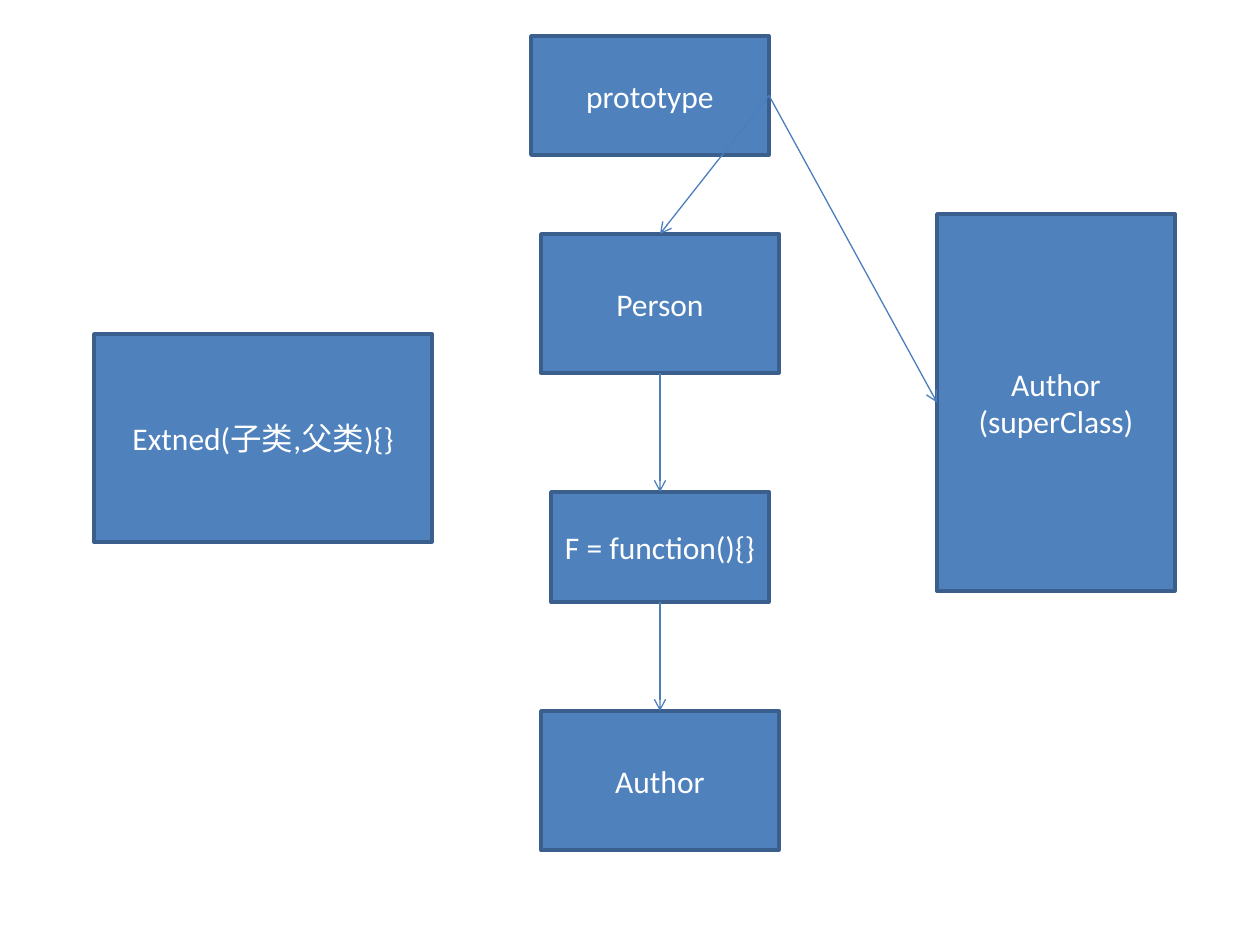
import pptx
import pptx.dml.color
import pptx.enum.shapes
import pptx.enum.text
import pptx.oxml.ns
import pptx.util
from lxml import etree

PX_PER_INCH = 126
BOX_FILL = pptx.dml.color.RGBColor(0x4F, 0x81, 0xBD)
BOX_EDGE = pptx.dml.color.RGBColor(0x3A, 0x5F, 0x8C)
ARROW = pptx.dml.color.RGBColor(0x4B, 0x7E, 0xBC)
WHITE = pptx.dml.color.RGBColor(0xFF, 0xFF, 0xFF)
TOP, LEFT, BOTTOM, RIGHT = range(4)


def px(length):
    return pptx.util.Emu(round(length * 914400 / PX_PER_INCH))


class Diagram:
    font_name = "Calibri"
    font_size = pptx.util.Pt(18)

    def __init__(self, slide):
        self.slide = slide

    def box(self, left, top, width, height, *lines):
        """Draw a rectangle with one centred paragraph per line."""
        box = self.slide.shapes.add_shape(
            pptx.enum.shapes.MSO_SHAPE.RECTANGLE,
            px(left), px(top), px(width), px(height))
        box.shadow.inherit = False
        box.fill.solid()
        box.fill.fore_color.rgb = BOX_FILL
        box.line.color.rgb = BOX_EDGE
        box.line.width = pptx.util.Pt(2)
        frame = box.text_frame
        frame.word_wrap = True
        frame.vertical_anchor = pptx.enum.text.MSO_ANCHOR.MIDDLE
        frame.text = "\n".join(lines)
        for paragraph in frame.paragraphs:
            paragraph.alignment = pptx.enum.text.PP_ALIGN.CENTER
            paragraph.font.name = self.font_name
            paragraph.font.size = self.font_size
            paragraph.font.color.rgb = WHITE
        return box

    def arrow(self, source, source_side, target, target_side):
        """Join the middles of two box sides with an open arrow."""
        arrow = self.slide.shapes.add_connector(
            pptx.enum.shapes.MSO_CONNECTOR.STRAIGHT, 0, 0, 0, 0)
        arrow.begin_connect(source, source_side)
        arrow.end_connect(target, target_side)
        arrow.line.color.rgb = ARROW
        arrow.line.width = pptx.util.Pt(0.75)
        qn = pptx.oxml.ns.qn
        properties = arrow._element.spPr
        etree.SubElement(properties.find(qn("a:ln")), qn("a:tailEnd"), type="arrow")
        etree.SubElement(properties, qn("a:effectLst"))


def main():
    presentation = pptx.Presentation()
    presentation.slide_width = px(1260)
    presentation.slide_height = px(945)
    blank_layout = presentation.slide_layouts[6]
    diagram = Diagram(presentation.slides.add_slide(blank_layout))

    # Inheritance chain
    person = diagram.box(541, 234, 238, 139, "Person")
    author = diagram.box(541, 711, 238, 139, "Author")
    bridge = diagram.box(551, 492, 218, 110, "F = function(){}")
    diagram.arrow(person, BOTTOM, bridge, TOP)
    diagram.arrow(bridge, BOTTOM, author, TOP)

    # Extend function
    diagram.box(94, 334, 338, 208, "Extned(子类,父类){}")

    # Shared prototype
    super_class = diagram.box(937, 214, 238, 377, "Author", "(superClass)")
    prototype = diagram.box(531, 36, 238, 119, "prototype")
    diagram.arrow(prototype, RIGHT, person, TOP)
    diagram.arrow(prototype, RIGHT, super_class, LEFT)

    presentation.save("out.pptx")


if __name__ == "__main__":
    main()
